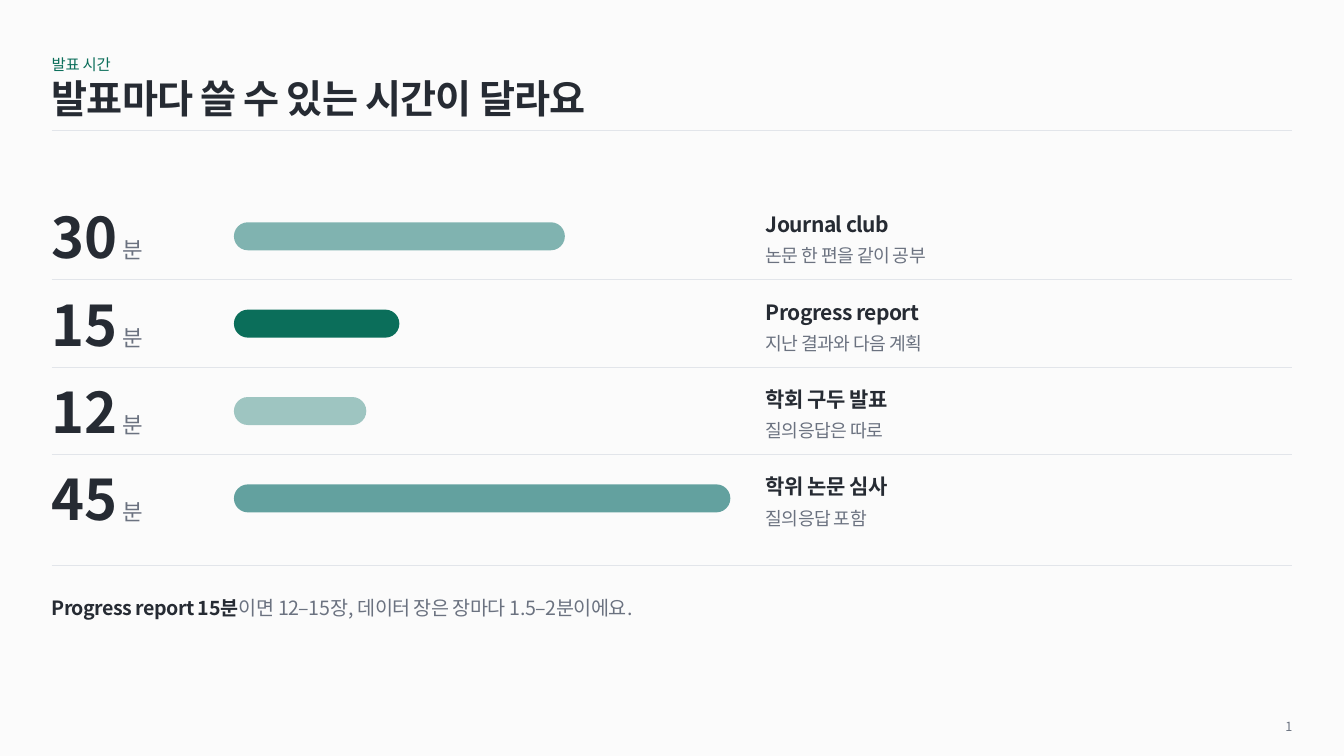
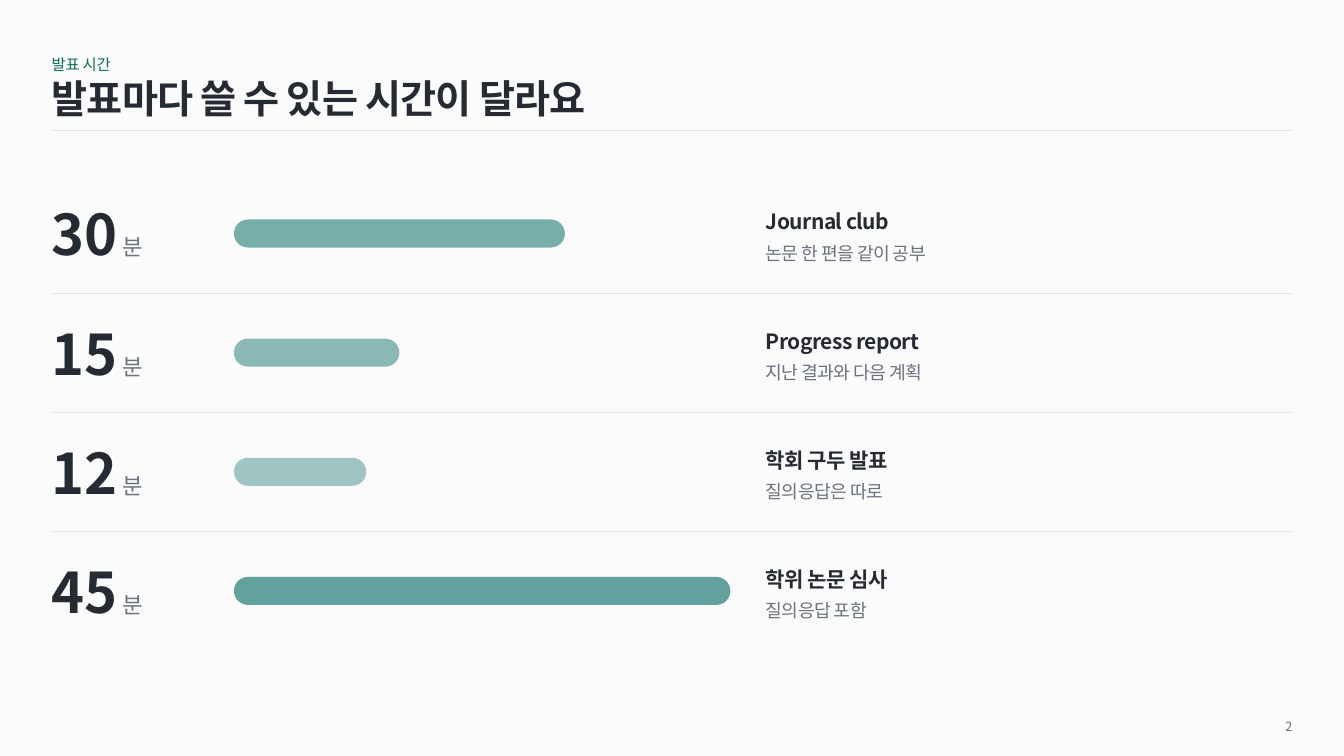
"""Builds two slides that compare the minutes available for each kind of talk."""
from lxml import etree
from pptx import Presentation
from pptx.dml.color import RGBColor
from pptx.enum.shapes import MSO_CONNECTOR, MSO_SHAPE
from pptx.enum.text import MSO_ANCHOR, PP_ALIGN
from pptx.oxml.ns import qn
from pptx.util import Pt

FONT = "Noto Sans CJK KR"
PAPER, INK, MUTED, ACCENT, RULE = "FBFBFB", "262B33", "6B7280", "0B6E5A", "E2E5EA"
KICKER = "발표 시간"
TITLE = "발표마다 쓸 수 있는 시간이 달라요"
UNIT = " 분"
TALKS = [
    (30, "Journal club", "논문 한 편을 같이 공부"),
    (15, "Progress report", "지난 결과와 다음 계획"),
    (12, "학회 구두 발표", "질의응답은 따로"),
    (45, "학위 논문 심사", "질의응답 포함"),
]
SLIDES = [
    {"center": 168.8, "pitch": 62.4, "bars": ["80B3B0", ACCENT, "9EC5C1", "63A19F"],
     "note": ("Progress report 15분", "이면 12–15장, 데이터 장은 장마다 1.5–2분이에요.")},
    {"center": 166.8, "pitch": 85.1, "bars": ["77AEAA", "8AB9B5", "9EC5C1", "63A19F"],
     "note": None},
]

WIDTH, HEIGHT, MARGIN = 960, 540, 36.9
CONTENT = WIDTH - 2 * MARGIN
BAR_LEFT, BAR_HEIGHT, POINTS_PER_MINUTE = 167.1, 20, 7.88
LABEL_LEFT = 547.1
LABEL_WIDTH = WIDTH - MARGIN - LABEL_LEFT
NUMBER_HEIGHT = 51
NOTE_RULE, NOTE_TOP = 404, 419.8


def color(value):
    return RGBColor.from_string(value)


def add_text(slide, box, runs, anchor=MSO_ANCHOR.TOP, align=PP_ALIGN.LEFT,
             leading=1.0, tracking=-0.4):
    frame = slide.shapes.add_textbox(*map(Pt, box)).text_frame
    frame.word_wrap = True
    frame.vertical_anchor = anchor
    frame.margin_left = frame.margin_right = frame.margin_top = frame.margin_bottom = 0
    paragraph = frame.paragraphs[0]
    paragraph.alignment = align
    paragraph.line_spacing = leading
    for text, size, ink, bold in runs:
        run = paragraph.add_run()
        run.text = text
        font = run.font
        font.size, font.bold, font.name = Pt(size), bold, FONT
        font.color.rgb = color(ink)
        properties = run._r.get_or_add_rPr()
        properties.set("spc", str(round(tracking * 100)))
        etree.SubElement(properties, qn("a:ea")).set("typeface", FONT)


def add_rule(slide, y):
    rule = slide.shapes.add_connector(
        MSO_CONNECTOR.STRAIGHT, Pt(MARGIN), Pt(y), Pt(WIDTH - MARGIN), Pt(y))
    rule.line.color.rgb = color(RULE)
    rule.line.width = Pt(0.75)
    etree.SubElement(rule._element.spPr, qn("a:effectLst"))


def add_bar(slide, center, minutes, fill):
    bar = slide.shapes.add_shape(
        MSO_SHAPE.ROUNDED_RECTANGLE, Pt(BAR_LEFT), Pt(center - BAR_HEIGHT / 2),
        Pt(minutes * POINTS_PER_MINUTE), Pt(BAR_HEIGHT))
    bar.adjustments[0] = 0.5
    bar.shadow.inherit = False
    bar.fill.solid()
    bar.fill.fore_color.rgb = color(fill)
    bar.line.fill.background()


def add_frame(slide, number):
    add_rule(slide, 93.3)
    add_text(slide, (MARGIN, 36.9, 397, 15.6), [(KICKER, 11, ACCENT, False)],
             MSO_ANCHOR.BOTTOM, tracking=-0.2)
    add_text(slide, (MARGIN, 52.5, CONTENT, 35.4), [(TITLE, 28, INK, True)],
             MSO_ANCHOR.MIDDLE, tracking=-0.6)
    add_text(slide, (WIDTH - MARGIN - 85, 511.9, 85, 14.2),
             [(str(number), 9, MUTED, False)], MSO_ANCHOR.MIDDLE, PP_ALIGN.RIGHT, tracking=0)


def add_talk(slide, center, talk, fill):
    minutes, name, detail = talk
    add_text(slide, (MARGIN, center - NUMBER_HEIGHT / 2, 119, NUMBER_HEIGHT),
             [(str(minutes), 40, INK, True), (UNIT, 16, MUTED, False)], MSO_ANCHOR.MIDDLE)
    add_bar(slide, center, minutes, fill)
    add_text(slide, (LABEL_LEFT, center - 21.2, LABEL_WIDTH, 22.7),
             [(name, 15, INK, True)], leading=1.2)
    add_text(slide, (LABEL_LEFT, center + 1.4, LABEL_WIDTH, 20),
             [(detail, 13, MUTED, False)], leading=1.3)


def build():
    prs = Presentation()
    prs.slide_width, prs.slide_height = Pt(WIDTH), Pt(HEIGHT)
    background = prs.slide_master.background.fill
    background.solid()
    background.fore_color.rgb = color(PAPER)
    for number, plan in enumerate(SLIDES, 1):
        slide = prs.slides.add_slide(prs.slide_layouts[6])
        add_frame(slide, number)
        for row, (talk, fill) in enumerate(zip(TALKS, plan["bars"])):
            center = plan["center"] + row * plan["pitch"]
            if row:
                add_rule(slide, center - plan["pitch"] / 2)
            add_talk(slide, center, talk, fill)
        if plan["note"]:
            lead, rest = plan["note"]
            add_rule(slide, NOTE_RULE)
            add_text(slide, (MARGIN, NOTE_TOP, CONTENT, 23.8),
                     [(lead, 14, INK, True), (rest, 14, MUTED, False)], leading=1.35)
    prs.save("out.pptx")


build()
